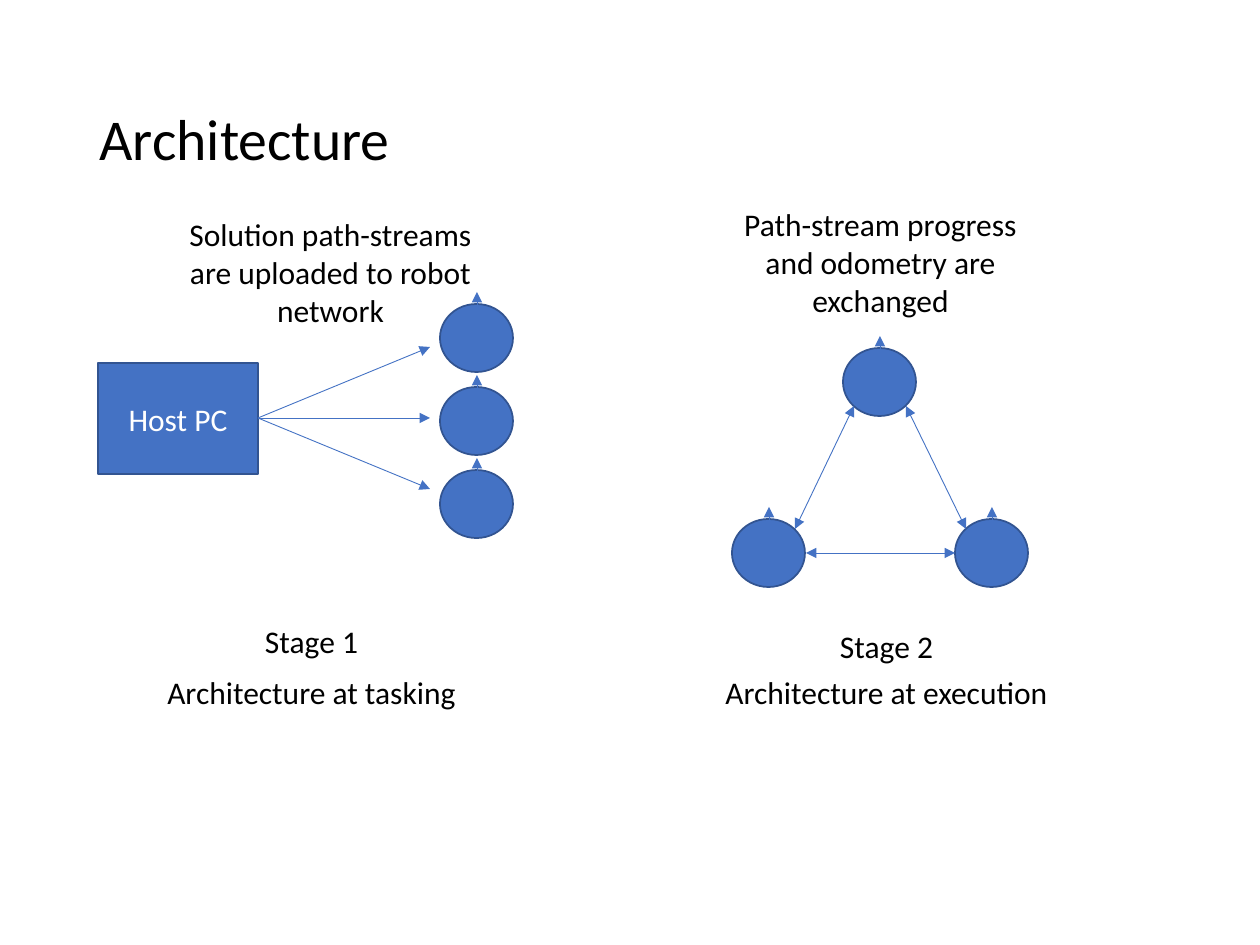
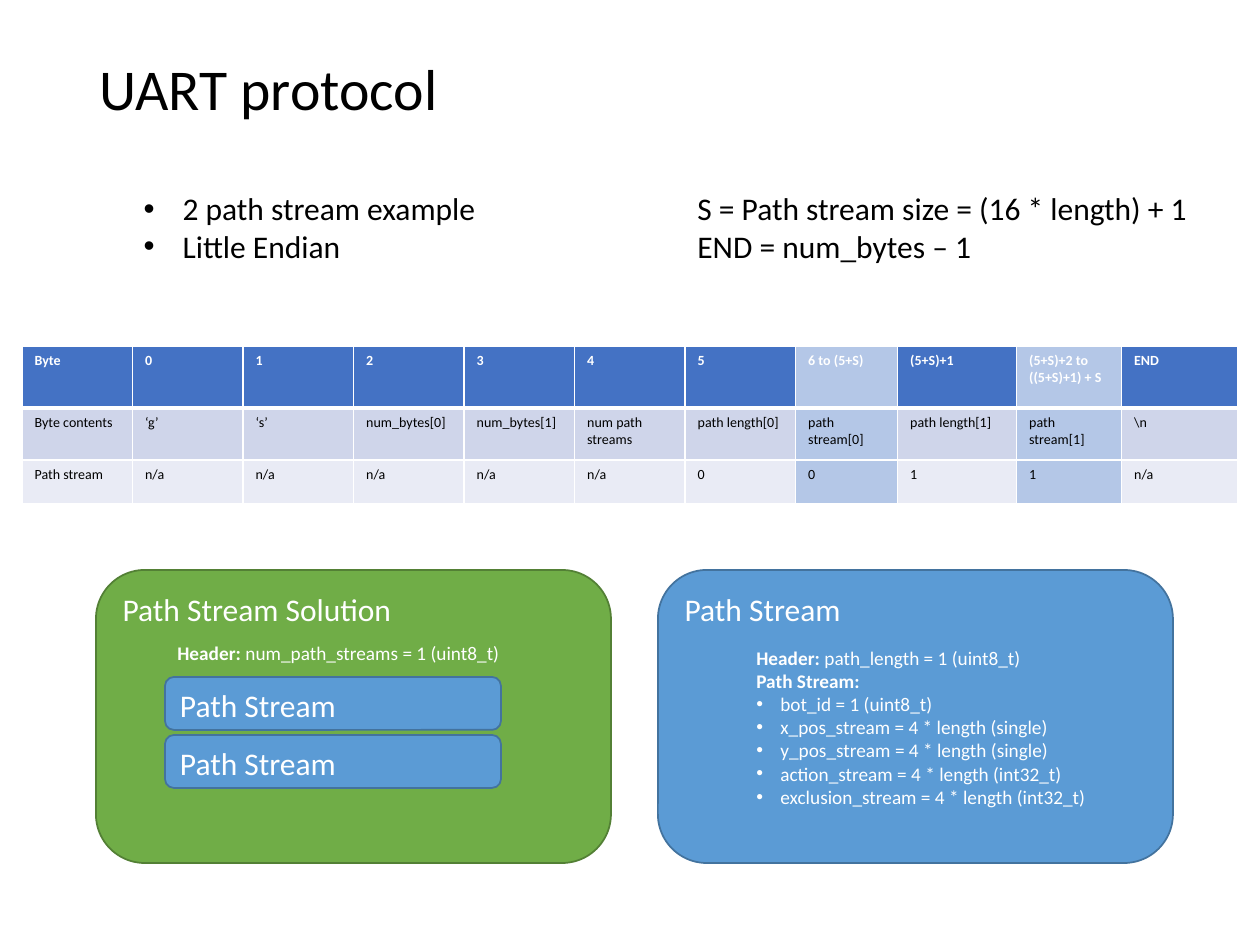
import dataclasses

import pptx
import pptx.dml.color
import pptx.enum.shapes
import pptx.enum.text
import pptx.oxml
import pptx.oxml.ns
import pptx.util

PX = 914400 / 126
SHAPE = pptx.enum.shapes.MSO_SHAPE
ALIGN = pptx.enum.text.PP_ALIGN
ANCHOR = pptx.enum.text.MSO_ANCHOR
FIT = pptx.enum.text.MSO_AUTO_SIZE


@dataclasses.dataclass(frozen=True)
class Theme:
    font: str = "Calibri"
    title_size: int = 33
    body_size: int = 18
    detail_size: int = 11
    table_size: int = 8
    ink: str = "000000"
    paper: str = "FFFFFF"
    blue: str = "4472C4"
    blue_edge: str = "325491"
    sky: str = "5B9BD5"
    sky_edge: str = "43739E"
    green: str = "70AD47"
    green_edge: str = "538035"
    stream_column: str = "B4C7E7"
    bands: tuple = ("4472C4", "CFD5EA", "E9EBF5")


T = Theme()
ROBOT_W, ROBOT_H = 73, 68


def px(n):
    return pptx.util.Emu(round(n * PX))


def rgb(code):
    return pptx.dml.color.RGBColor.from_string(code)


def add_xml(parent, tag, **attrs):
    el = pptx.oxml.parse_xml(f"<a:{tag} {pptx.oxml.ns.nsdecls('a')}/>")
    for key, value in attrs.items():
        el.set(key, str(value))
    parent.append(el)
    return el


# Text

def write(tf, lines, size=T.body_size, color=T.ink, align=ALIGN.LEFT,
          bold=False, indent=0, bullets_from=0, spacing=1.0):
    """Each line is a string or a (bold label, plain text) pair."""
    tf.word_wrap = True
    for i, line in enumerate(lines):
        p = tf.paragraphs[0] if i == 0 else tf.add_paragraph()
        if indent and i >= bullets_from:
            pPr = p._p.get_or_add_pPr()
            pPr.set("marL", str(px(indent)))
            pPr.set("indent", str(-px(indent)))
            add_xml(pPr, "buFont", typeface="Arial")
            add_xml(pPr, "buChar", char="•")
        p.alignment = align
        p.line_spacing = spacing
        p.space_before = pptx.util.Pt(0)
        runs = [(line, bold)] if isinstance(line, str) else [(line[0], True), (line[1], False)]
        for text, is_bold in runs:
            if text:
                r = p.add_run()
                r.text = text
                r.font.name = T.font
                r.font.size = pptx.util.Pt(size)
                r.font.bold = is_bold
                r.font.color.rgb = rgb(color)


def place(sp, x, y, w, h):
    sp.left, sp.top, sp.width, sp.height = px(x), px(y), px(w), px(h)


def add_text(slide, x, y, w, h, lines, **fmt):
    tf = slide.shapes.add_textbox(px(x), px(y), px(w), px(h)).text_frame
    write(tf, lines, **fmt)
    tf.auto_size = FIT.SHAPE_TO_FIT_TEXT


def add_title(slide, y, text):
    sp = slide.shapes.title
    place(sp, 87, y, 1086, 183)
    sp.text_frame.vertical_anchor = ANCHOR.MIDDLE
    write(sp.text_frame, [text], size=T.title_size, spacing=0.9)


# Shapes and lines

def add_shape(shapes, kind, x, y, w, h, fill, edge):
    sp = shapes.add_shape(kind, px(x), px(y), px(w), px(h))
    sp.shadow.inherit = False
    sp.fill.solid()
    sp.fill.fore_color.rgb = rgb(fill)
    sp.line.color.rgb = rgb(edge)
    sp.line.width = pptx.util.Pt(1)
    return sp


def add_arrow(shapes, start, end, both=False):
    line = shapes.add_connector(pptx.enum.shapes.MSO_CONNECTOR.STRAIGHT,
                                *map(px, start + end))
    line.line.color.rgb = rgb(T.blue)
    line.line.width = pptx.util.Pt(0.5)
    ln = line.line._get_or_add_ln()
    for tag in ("headEnd", "tailEnd") if both else ("tailEnd",):
        add_xml(ln, tag, type="triangle")
    add_xml(line._element.spPr, "effectLst")


def add_robot(slide, x, y):
    """A round robot with a short heading arrow; returns its centre."""
    shapes = slide.shapes.add_group_shape().shapes
    add_shape(shapes, SHAPE.OVAL, x, y, ROBOT_W, ROBOT_H, T.blue, T.blue_edge)
    mid = x + ROBOT_W // 2 + 1
    add_arrow(shapes, (mid, y + 12), (mid, y - 12))
    return mid, y + ROBOT_H // 2


def add_panel(slide, x, y, w, h, title, fill, edge):
    sp = add_shape(slide.shapes, SHAPE.ROUNDED_RECTANGLE, x, y, w, h, fill, edge)
    sp.text_frame.vertical_anchor = ANCHOR.TOP
    write(sp.text_frame, [title], color=T.paper)


# Architecture slide

def add_captions(slide, x, y, stage, stage_top, caption):
    for top, text in ((stage_top, stage), (468, caption)):
        add_text(slide, x, y + top, 437, 50, [text], align=ALIGN.CENTER)


def add_note(slide, x, y, text):
    add_text(slide, x, y, 349, 127, [text], align=ALIGN.CENTER)


def tasking_stage(slide, x, y):
    host = add_shape(slide.shapes, SHAPE.RECTANGLE, x + 5, y + 164, 160, 111,
                     T.blue, T.blue_edge)
    host.text_frame.vertical_anchor = ANCHOR.MIDDLE
    write(host.text_frame, ["Host PC"], color=T.paper, align=ALIGN.CENTER)
    port = (x + 165, y + 219)
    for i in range(3):
        add_arrow(slide.shapes, port, (x + 337, port[1] + 71 * (i - 1)))
        add_robot(slide, x + 347, y + 105 + 83 * i)
    add_note(slide, x + 63, y + 10, "Solution path-streams are uploaded to robot network")
    add_captions(slide, x, y, "Stage 1", 417, "Architecture at tasking")


def execution_stage(slide, x, y):
    left, top, right = [add_robot(slide, x + dx, y + dy)
                        for dx, dy in ((64, 320), (175, 149), (287, 320))]
    # Links touch the circles at these offsets from their centres
    links = [(right, (-26, -24), top, (26, 24)),
             (right, (-37, 0), left, (37, 0)),
             (top, (-26, 24), left, (26, -24))]
    for a, da, b, db in links:
        add_arrow(slide.shapes, (a[0] + da[0], a[1] + da[1]),
                  (b[0] + db[0], b[1] + db[1]), both=True)
    add_note(slide, x + 38, y, "Path-stream progress and odometry are exchanged")
    add_captions(slide, x, y, "Stage 2", 422, "Architecture at execution")


def architecture_slide(prs):
    slide = prs.slides.add_slide(prs.slide_layouts[5])
    add_title(slide, 50, "Architecture")
    tasking_stage(slide, 93, 199)
    execution_stage(slide, 668, 199)


# Protocol slide

BYTE_ROWS = [
    ["Byte", "0", "1", "2", "3", "4", "5", "6 to (5+S)", "(5+S)+1",
     "(5+S)+2 to ((5+S)+1) + S", "END"],
    ["Byte contents", "‘g’", "‘s’", "num_bytes[0]", "num_bytes[1]",
     "num path streams", "path length[0]", "path stream[0]", "path length[1]",
     "path stream[1]", "\\n"],
    ["Path stream"] + ["n/a"] * 5 + ["0", "0", "1", "1", "n/a"],
]


def set_borders(cell, row):
    tcPr = cell._tc.get_or_add_tcPr()
    heavy = {0: "lnB", 1: "lnT"}.get(row)
    for side in ("lnL", "lnR", "lnT", "lnB"):
        ln = add_xml(tcPr, side, w=pptx.util.Pt(3 if side == heavy else 1))
        add_xml(add_xml(ln, "solidFill"), "srgbClr", val=T.paper)


def byte_table(slide, x, y):
    widths = [px(774) // 7] * 7 + [px(w) for w in (102, 119, 105, 116)]
    heights = [px(h) for h in (62, 52, 44)]
    table = slide.shapes.add_table(len(heights), len(widths), px(x), px(y),
                                   sum(widths), sum(heights)).table
    for col, width in zip(table.columns, widths):
        col.width = width
    for i, texts in enumerate(BYTE_ROWS):
        table.rows[i].height = heights[i]
        for j, text in enumerate(texts):
            cell = table.cell(i, j)
            set_borders(cell, i)
            cell.fill.solid()
            cell.fill.fore_color.rgb = rgb(T.stream_column if j in (7, 9) else T.bands[i])
            write(cell.text_frame, [text], size=T.table_size, bold=i == 0,
                  color=T.paper if i == 0 else T.ink)


def solution_panel(slide, x, y, w, h):
    add_panel(slide, x, y, w, h, "Path Stream Solution", T.green, T.green_edge)
    add_text(slide, x + 69, y + 65, 377, 37,
             [("Header: ", "num_path_streams = 1 (uint8_t)")],
             size=T.detail_size, color=T.paper)
    for i in range(2):
        add_panel(slide, x + 69, y + 107 + 58 * i, 336, 53, "Path Stream", T.sky, T.sky_edge)


def stream_panel(slide, x, y, w, h):
    add_panel(slide, x, y, w, h, "Path Stream", T.sky, T.sky_edge)
    add_text(slide, x + 86, y + 70, 377, 223,
             [("Header: ", "path_length = 1 (uint8_t)"),
              ("Path Stream:", ""),
              "bot_id = 1 (uint8_t)",
              "x_pos_stream = 4 * length (single)",
              "y_pos_stream = 4 * length (single)",
              "action_stream = 4 * length (int32_t)",
              "exclusion_stream = 4 * length (int32_t)"],
             size=T.detail_size, color=T.paper, indent=24, bullets_from=2)


def protocol_slide(prs):
    slide = prs.slides.add_slide(prs.slide_layouts[1])
    add_title(slide, 0, "UART protocol")
    body = slide.placeholders[1]
    place(body, 131, 183, 449, 89)
    write(body.text_frame, ["2 path stream example", "Little Endian"], indent=39)
    body.text_frame.auto_size = FIT.NONE
    add_text(slide, 685, 183, 552, 89,
             ["S = Path stream size = (16 * length) + 1", "END = num_bytes – 1"])
    byte_table(slide, 22, 346)
    solution_panel(slide, 96, 570, 515, 293)
    stream_panel(slide, 658, 570, 515, 293)


def main():
    prs = pptx.Presentation()
    prs.slide_width, prs.slide_height = px(1260), px(945)
    architecture_slide(prs)
    protocol_slide(prs)
    prs.save("out.pptx")


if __name__ == "__main__":
    main()
